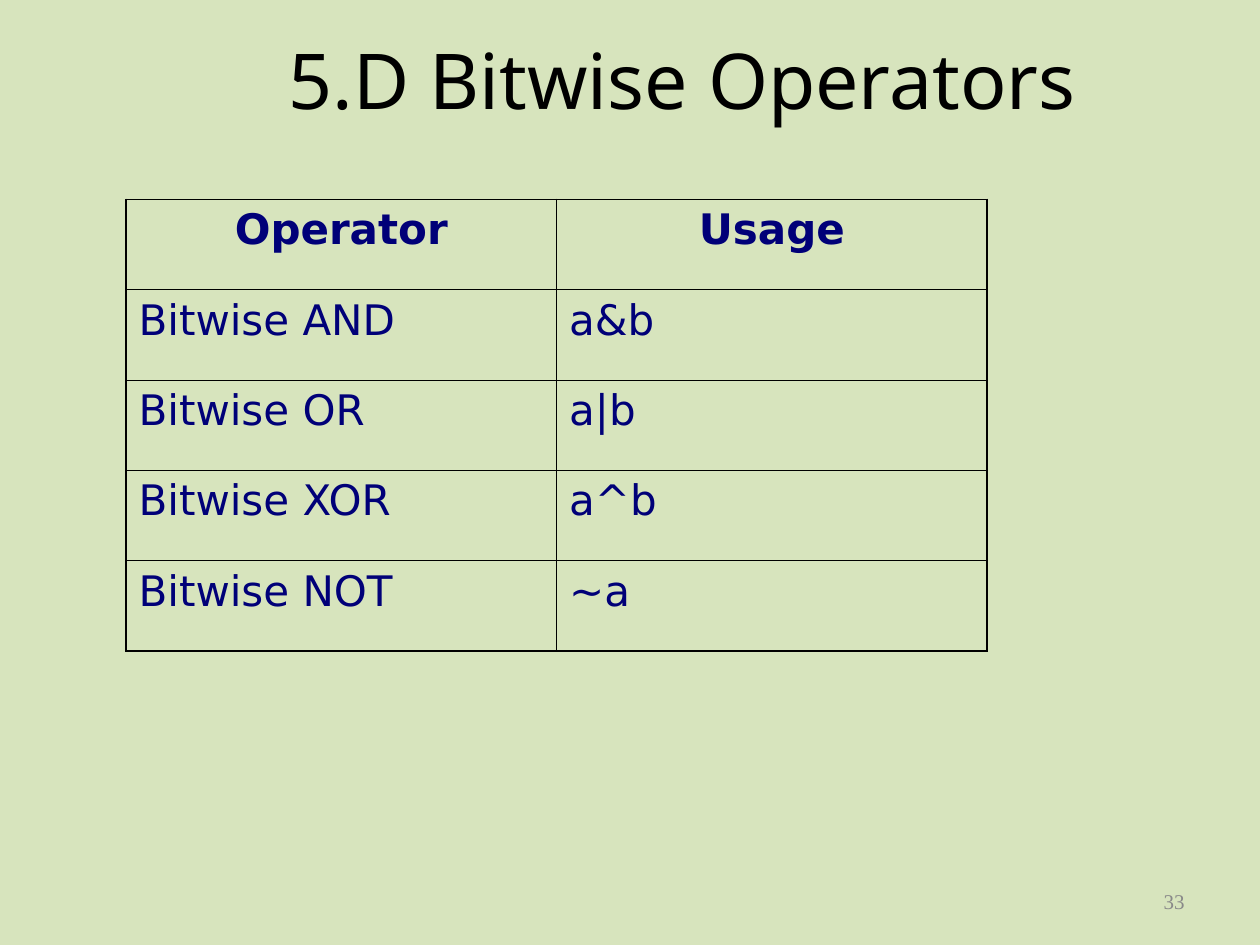
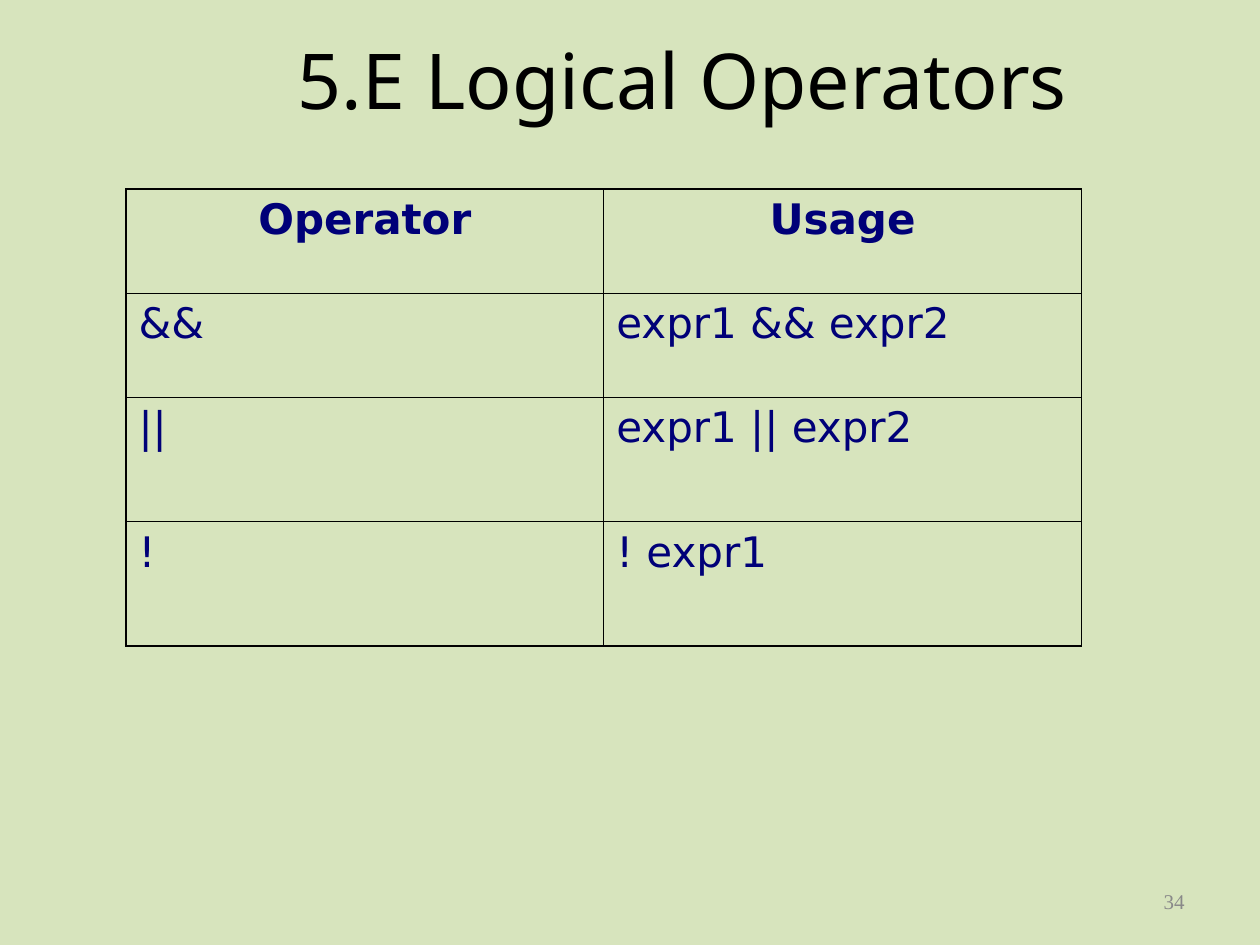
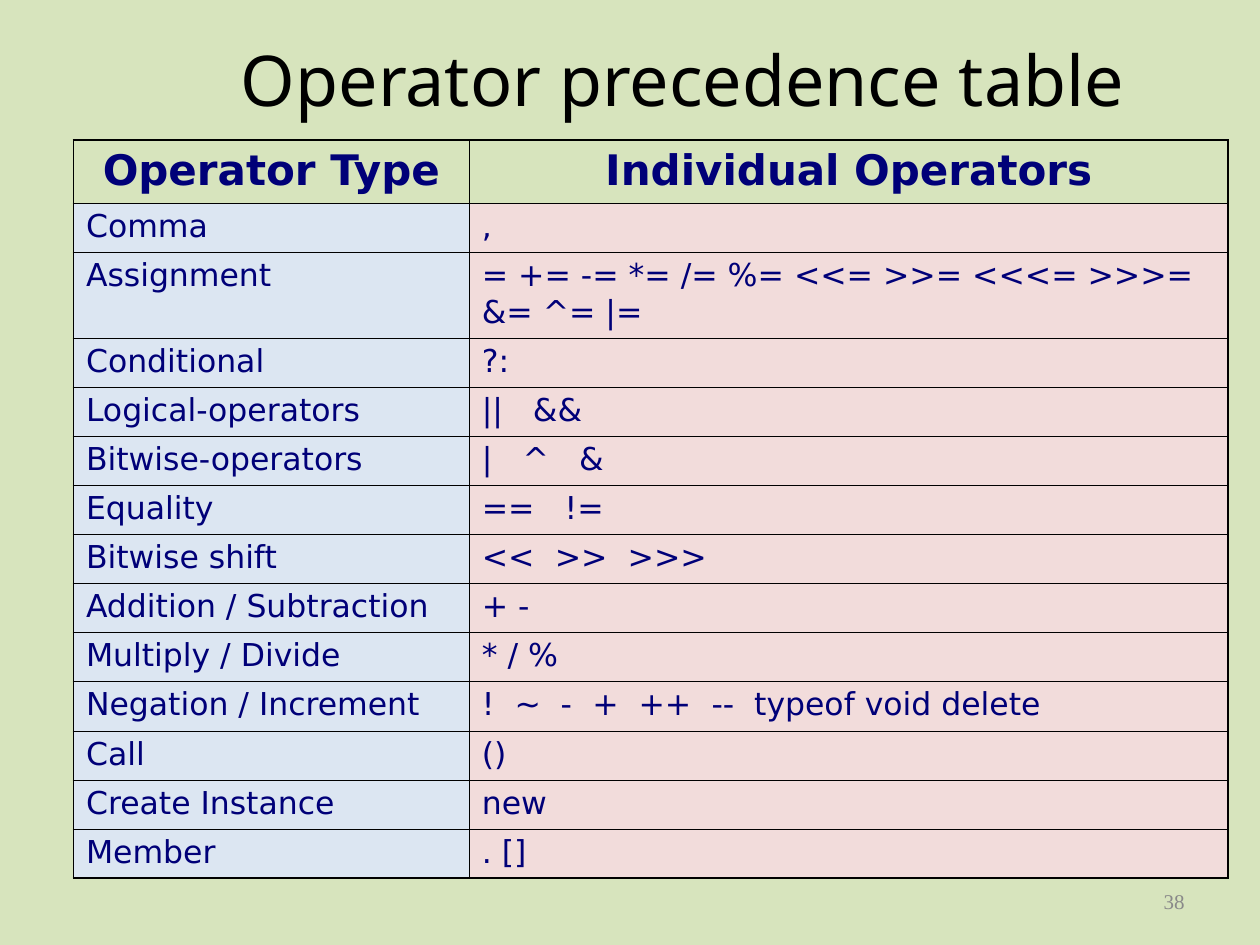
from lxml.etree import SubElement
from pptx import Presentation
from pptx.dml.color import RGBColor
from pptx.enum.text import MSO_ANCHOR, PP_ALIGN
from pptx.oxml.ns import qn
from pptx.util import Cm, Pt

BACKGROUND = "D7E4BD"
BLACK = "000000"
NAVY = "000078"
GREY = "898989"
PALE_BLUE = "DCE6F2"
PALE_RED = "F2DCDB"

TITLE_FONT = "Noto Sans"
TABLE_FONT = "DejaVu Sans"
NUMBER_FONT = "Times New Roman"

OUTER_LINE = 1.08
INNER_LINE = 0.45


def color(value):
    return RGBColor.from_string(value)


class Deck:
    def __init__(self):
        self.presentation = Presentation()
        self.presentation.slide_width = Cm(25.4)
        self.presentation.slide_height = Cm(19.05)
        self.slide = None

    def add_slide(self, title, title_size=44):
        self.slide = self.presentation.slides.add_slide(self.presentation.slide_layouts[6])
        fill = self.slide.background.fill
        fill.solid()
        fill.fore_color.rgb = color(BACKGROUND)
        self.text(title, (3.6, 0, 20.32, 3.18), TITLE_FONT, title_size, BLACK, PP_ALIGN.CENTER)

    def format(self, paragraph, font_name, size, text_color, alignment, bold=False):
        paragraph.alignment = alignment
        for run in paragraph.runs:
            run.font.name = font_name
            run.font.size = Pt(size)
            run.font.bold = bold
            run.font.color.rgb = color(text_color)

    def text(self, text, box, font_name, size, text_color, alignment):
        shape = self.slide.shapes.add_textbox(*map(Cm, box))
        text_frame = shape.text_frame
        text_frame.word_wrap = True
        text_frame.vertical_anchor = MSO_ANCHOR.MIDDLE
        text_frame.text = text
        self.format(text_frame.paragraphs[0], font_name, size, text_color, alignment)

    def page_number(self, number):
        self.text(str(number), (18.2, 17.66, 5.93, 1.01), NUMBER_FONT, 12, GREY, PP_ALIGN.RIGHT)

    def tabs(self, paragraph, stops):
        tab_list = SubElement(paragraph._p.get_or_add_pPr(), qn("a:tabLst"))
        for stop in stops:
            SubElement(tab_list, qn("a:tab"), pos=str(Cm(stop)), algn="l")

    def borders(self, cell, outer_sides):
        properties = cell._tc.get_or_add_tcPr()
        for side in "LRTB":
            width = OUTER_LINE if side in outer_sides else INNER_LINE
            line = SubElement(properties, qn(f"a:ln{side}"), w=str(Pt(width)))
            solid = SubElement(line, qn("a:solidFill"))
            SubElement(solid, qn("a:srgbClr"), val=BLACK)

    def table(self, rows, left, top, widths, heights, body_size=24, body_margin=0.13,
              fills=(None, None), tab_stops=None):
        frame = self.slide.shapes.add_table(
            len(rows), len(widths), Cm(left), Cm(top), Cm(sum(widths)), Cm(sum(heights)))
        table = frame.table
        table.first_row = table.horz_banding = False
        for column, width in zip(table.columns, widths):
            column.width = Cm(width)
        for row_index, (row, height) in enumerate(zip(rows, heights)):
            table.rows[row_index].height = Cm(height)
            header = row_index == 0
            for column_index, text in enumerate(row):
                cell = table.cell(row_index, column_index)
                cell.text_frame.text = text
                paragraph = cell.text_frame.paragraphs[0]
                if "\t" in text:
                    self.tabs(paragraph, tab_stops[row[0]])
                self.format(paragraph, TABLE_FONT, 24 if header else body_size, NAVY,
                            PP_ALIGN.CENTER if header else PP_ALIGN.LEFT, header)
                if not header:
                    cell.margin_top = cell.margin_bottom = Cm(body_margin)
                edges = {"L": column_index == 0, "R": column_index == len(widths) - 1,
                         "T": header, "B": row_index == len(rows) - 1}
                self.borders(cell, [side for side, outer in edges.items() if outer])
                if header or not fills[column_index]:
                    cell.fill.background()
                else:
                    cell.fill.solid()
                    cell.fill.fore_color.rgb = color(fills[column_index])


BITWISE = [
    ("Operator", "Usage"),
    ("Bitwise AND", "a&b"),
    ("Bitwise OR", "a|b"),
    ("Bitwise XOR", "a^b"),
    ("Bitwise NOT", "~a"),
]

LOGICAL = [
    ("Operator", "Usage"),
    ("&&", "expr1 && expr2"),
    ("||", "expr1 || expr2"),
    ("!", "! expr1"),
]

PRECEDENCE = [
    ("Operator Type", "Individual Operators"),
    ("Comma", ","),
    ("Assignment", "= += -= *= /= %= <<= >>= <<<= >>>= &= ^= |="),
    ("Conditional", "?:"),
    ("Logical-operators", "||\t&&"),
    ("Bitwise-operators", "|\t^\t&"),
    ("Equality", "==\t!="),
    ("Bitwise shift", "<<\t>>\t>>>"),
    ("Addition / Subtraction", "+ -"),
    ("Multiply / Divide", "* / %"),
    ("Negation / Increment", "!\t~\t-\t+\t++\t--\ttypeof void delete"),
    ("Call", "()"),
    ("Create Instance", "new"),
    ("Member", ". []"),
]

# Tab stops in cm that space out the operators of a row
PRECEDENCE_TABS = {
    "Logical-operators": [1.03],
    "Bitwise-operators": [0.82, 1.96],
    "Equality": [1.67],
    "Bitwise shift": [1.47, 2.94],
    "Negation / Increment": [0.66, 1.59, 2.23, 3.16, 4.63, 5.49],
}


def main():
    deck = Deck()

    # Bitwise operators
    deck.add_slide("5.D Bitwise Operators")
    deck.table(BITWISE, 2.54, 4.02, [8.68] * 2, [1.82] * 5)
    deck.page_number(33)

    # Logical operators
    deck.add_slide("5.E Logical Operators")
    deck.table(LOGICAL, 2.54, 3.81, [9.63] * 2, [2.1] * 2 + [2.51] * 2)
    deck.page_number(34)

    # Operator precedence, with rows tight enough to end above the page number
    deck.add_slide("Operator precedence table", title_size=40)
    deck.table(PRECEDENCE, 1.48, 2.82, [7.98, 15.3], [1.28, 0.99, 1.7] + [0.99] * 11,
               body_size=18, body_margin=0.1, fills=(PALE_BLUE, PALE_RED),
               tab_stops=PRECEDENCE_TABS)
    deck.page_number(38)

    deck.presentation.save("out.pptx")


if __name__ == "__main__":
    main()
